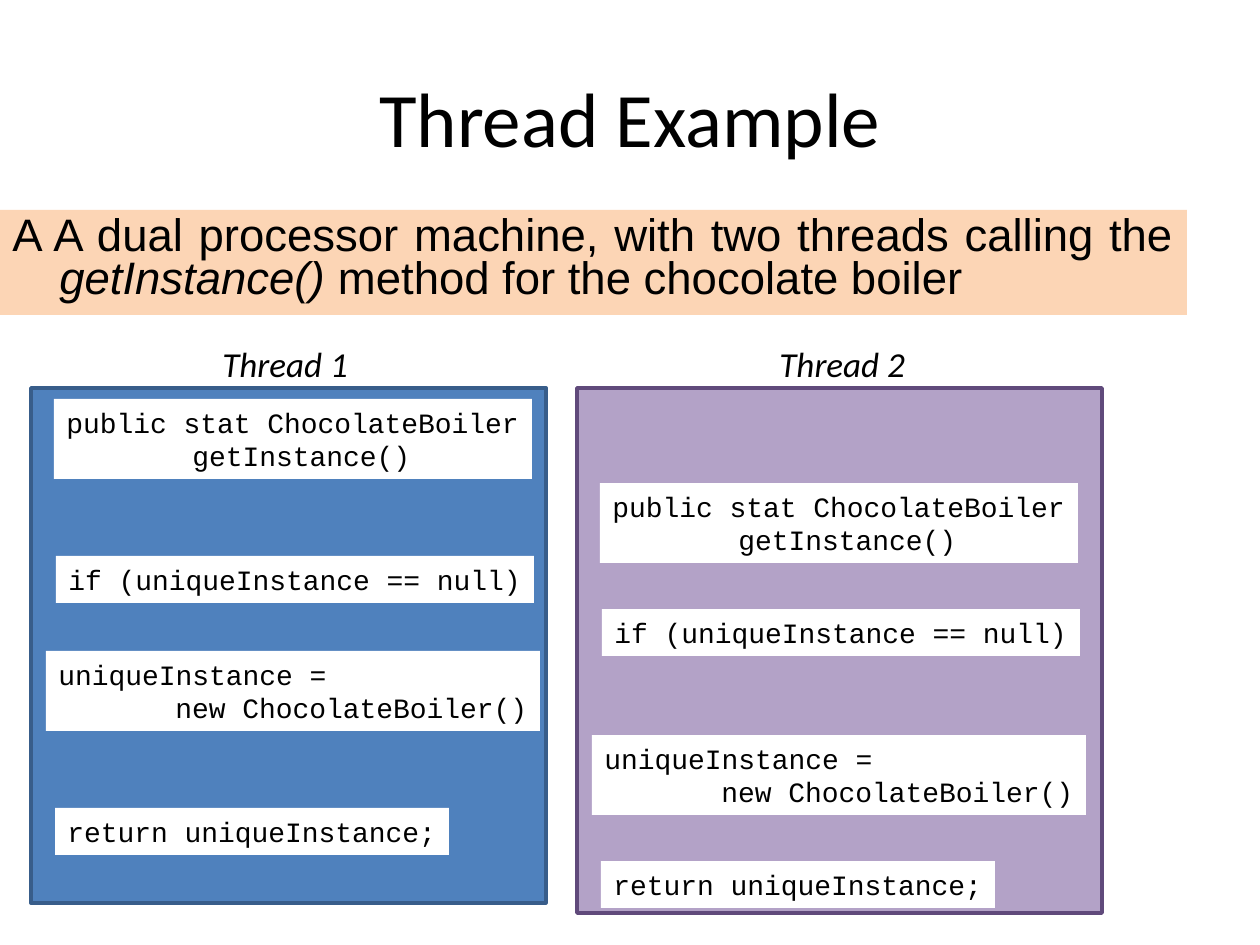
"""Build the Thread Example slide comparing two threads calling getInstance()."""
from pptx import Presentation
from pptx.dml.color import RGBColor
from pptx.enum.shapes import MSO_SHAPE as Shape
from pptx.enum.text import MSO_ANCHOR as Anchor, PP_ALIGN as Align
from pptx.util import Emu, Pt

THEME = {
    "text": RGBColor.from_string("000000"),
    "code_fill": RGBColor.from_string("FFFFFF"),
    "banner_fill": RGBColor.from_string("FCD5B5"),
    "title": ("Calibri", 44),
    "banner": ("Arial", 26),
    "label": ("Calibri", 20),
    "code": ("Courier New", 16),
}
SCALE = 914400 / 126


def px(length):
    return Emu(round(length * SCALE))


def write(paragraph, pieces, style, align=Align.LEFT, left=0, hanging=0):
    name, size = THEME[style]
    paragraph.alignment = align
    paragraph.font.name = name
    paragraph.font.size = Pt(size)
    paragraph.font.color.rgb = THEME["text"]
    properties = paragraph._p.get_or_add_pPr()
    properties.set("marL", str(px(left)))
    properties.set("indent", str(px(-hanging)))
    for text, italic in pieces:
        run = paragraph.add_run()
        run.text = text
        run.font.italic = italic


presentation = Presentation()
presentation.slide_width, presentation.slide_height = px(1260), px(945)
slide = presentation.slides.add_slide(presentation.slide_layouts[5])

title = slide.shapes.title
title.left, title.top, title.width, title.height = px(63), px(38), px(1134), px(158)
title.text_frame.vertical_anchor = Anchor.MIDDLE
write(title.text_frame.paragraphs[0], [("Thread Example", False)], "title", Align.CENTER)

banner = slide.shapes.add_shape(Shape.RECTANGLE, px(0), px(210), px(1187), px(105))
banner.shadow.inherit = False
banner.fill.solid()
banner.fill.fore_color.rgb = THEME["banner_fill"]
banner.line.fill.background()
banner.text_frame.vertical_anchor = Anchor.TOP
paragraph = banner.text_frame.paragraphs[0]
paragraph.line_spacing = 0.8
banner_text = [
    ("A A dual processor machine, with two threads calling the ", False),
    ("getInstance() ", True),
    ("method for the chocolate boiler", False),
]
write(paragraph, banner_text, "banner", Align.JUSTIFY, left=47, hanging=47)

threads = [
    ("Thread 1", 210, 31, 515, "4F81BD", "385D8A", (399, 556, 651, 808)),
    ("Thread 2", 767, 577, 525, "B3A2C7", "604A7B", (483, 609, 735, 861)),
]
steps = [
    (23, 478, 80, [("public stat ChocolateBoiler", 0), ("getInstance()", 126)]),
    (25, 478, 47, [("if (uniqueInstance == null)", 0)]),
    (15, 494, 80, [("uniqueInstance =", 0), ("new ChocolateBoiler()", 117)]),
    (24, 394, 47, [("return uniqueInstance;", 0)]),
]

for name, label_left, left, size, fill, outline, tops in threads:
    panel = slide.shapes.add_shape(Shape.RECTANGLE, px(left), px(388), px(size), px(size))
    panel.shadow.inherit = False
    panel.fill.solid()
    panel.fill.fore_color.rgb = RGBColor.from_string(fill)
    panel.line.color.rgb = RGBColor.from_string(outline)
    panel.line.width = Pt(2)

    label = slide.shapes.add_textbox(px(label_left), px(336), px(170), px(55))
    label.text_frame.word_wrap = True
    write(label.text_frame.paragraphs[0], [(name, True)], "label")

    for (offset, width, height, lines), top in zip(steps, tops):
        code = slide.shapes.add_shape(
            Shape.RECTANGLE, px(left + offset), px(top), px(width), px(height))
        code.shadow.inherit = False
        code.fill.solid()
        code.fill.fore_color.rgb = THEME["code_fill"]
        code.line.fill.background()
        frame = code.text_frame
        frame.word_wrap = False
        frame.vertical_anchor = Anchor.TOP
        for index, (text, indent) in enumerate(lines):
            paragraph = frame.add_paragraph() if index else frame.paragraphs[0]
            write(paragraph, [(text, False)], "code", left=indent)

presentation.save("out.pptx")
